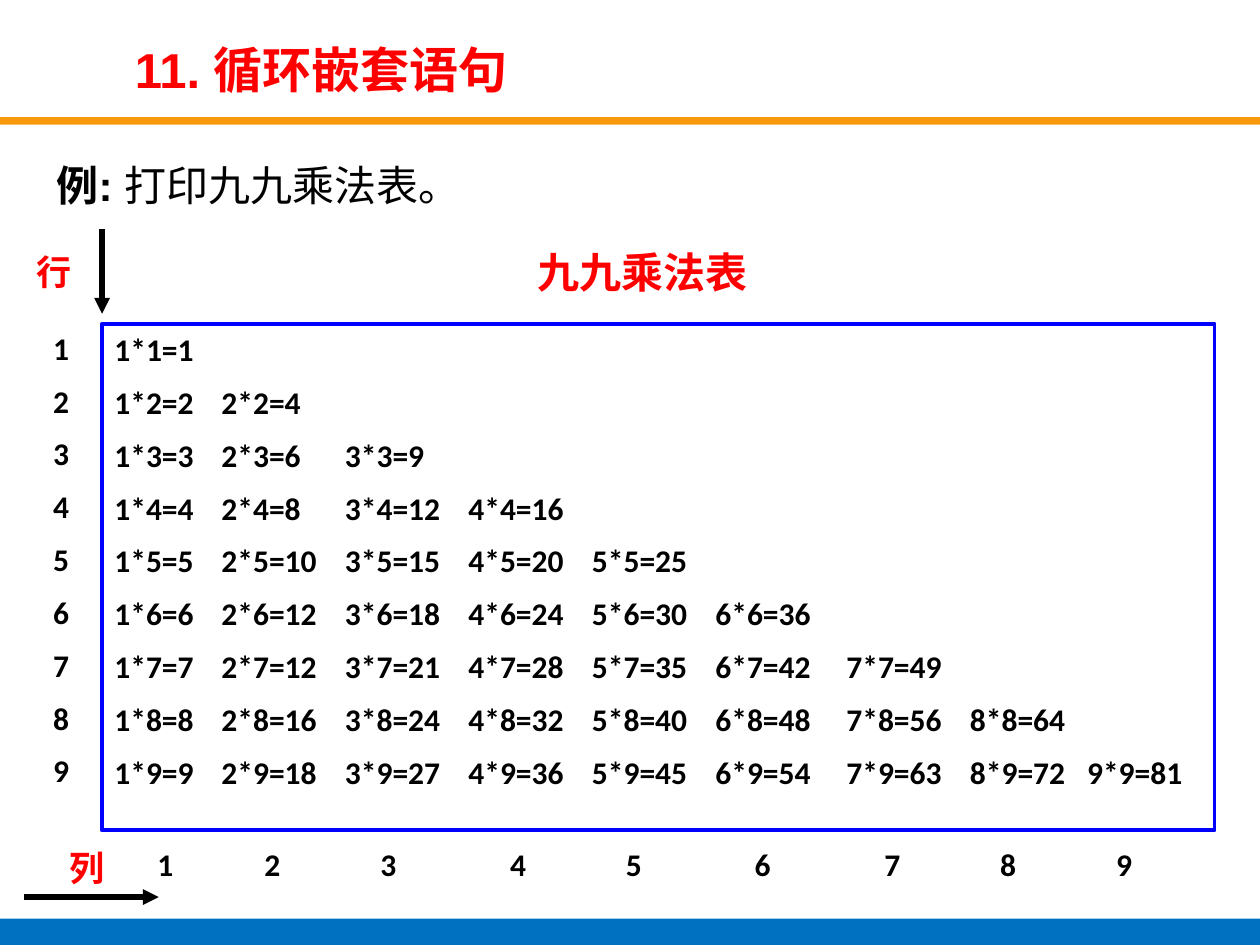
import pptx
import pptx.dml.color
import pptx.enum.shapes
import pptx.enum.text
import pptx.oxml.ns
import pptx.util
from dataclasses import dataclass
from lxml import etree

Inches = pptx.util.Inches
Pt = pptx.util.Pt
Align = pptx.enum.text.PP_ALIGN
Shape = pptx.enum.shapes.MSO_SHAPE
qn = pptx.oxml.ns.qn


@dataclass(frozen=True)
class Theme:
    red: str = "FF0000"
    black: str = "000000"
    orange: str = "F7990A"
    footer_blue: str = "0070C0"
    frame_blue: str = "0000FF"
    heading_font: str = "Arial"
    grid_font: str = "Calibri"
    chinese_font: str = "Noto Sans CJK SC"
    title_size: int = 28
    lead_size: int = 24
    axis_size: int = 20
    grid_size: int = 18
    row_gap: float = 8.6


theme = Theme()


def rgb(value):
    return pptx.dml.color.RGBColor.from_string(value)


def write(shape, lines, font=theme.grid_font, size=theme.grid_size,
          color=theme.black, align=Align.LEFT, gap=0, line_spacing=None,
          tabs=(), anchor=pptx.enum.text.MSO_ANCHOR.TOP):
    """Fill a shape with lines, each a list of (text, bold) runs."""
    frame = shape.text_frame
    frame.word_wrap = True
    frame.auto_size = pptx.enum.text.MSO_AUTO_SIZE.NONE
    frame.vertical_anchor = anchor
    for index, runs in enumerate(lines):
        paragraph = frame.add_paragraph() if index else frame.paragraphs[0]
        paragraph.alignment = align
        paragraph.space_before = Pt(gap)
        if line_spacing:
            paragraph.line_spacing = line_spacing
        if tabs:
            stops = etree.SubElement(paragraph._p.get_or_add_pPr(), qn("a:tabLst"))
            for stop in tabs:
                etree.SubElement(stops, qn("a:tab"), pos=str(Inches(stop)), algn="l")
        for text, bold in runs:
            run = paragraph.add_run()
            run.text = text
            run.font.name = font
            run.font.size = Pt(size)
            run.font.bold = bold
            run.font.color.rgb = rgb(color)
            etree.SubElement(run._r.get_or_add_rPr(), qn("a:ea"),
                             typeface=theme.chinese_font)


presentation = pptx.Presentation()
presentation.slide_width = Inches(10)
presentation.slide_height = Inches(7.5)
slide = presentation.slides.add_slide(presentation.slide_layouts[5])
shapes = slide.shapes

# Header rule and footer band
for top, height, color in ((0.93, 0.06, theme.orange), (7.29, 0.21, theme.footer_blue)):
    band = shapes.add_shape(Shape.RECTANGLE, 0, Inches(top), Inches(10), Inches(height))
    band.shadow.inherit = False
    band.fill.solid()
    band.fill.fore_color.rgb = rgb(color)
    band.line.fill.background()

title = shapes.title
title.left, title.top = Inches(0.97), Inches(0.27)
title.width, title.height = Inches(6.86), Inches(0.55)
write(title, [[("11. 循环嵌套语句", True)]], font=theme.heading_font,
      size=theme.title_size, color=theme.red,
      anchor=pptx.enum.text.MSO_ANCHOR.MIDDLE)

example = shapes.add_textbox(Inches(0.35), Inches(1.14), Inches(9.29), Inches(0.7))
write(example, [[("例: ", True), ("打印九九乘法表。", False)]],
      font=theme.heading_font, size=theme.lead_size, line_spacing=1.2)

# Multiplication table; the slide shows 2*7 as 12
numbers = range(1, 10)
shown_products = {(2, 7): 12}
product_rows = []
for row in numbers:
    products = [f"{column}*{row}={shown_products.get((column, row), column * row)}"
                for column in range(1, row + 1)]
    product_rows.append([("\t".join(products), True)])

table_frame = shapes.add_shape(Shape.RECTANGLE, Inches(0.81), Inches(2.57),
                               Inches(8.83), Inches(4.02))
table_frame.shadow.inherit = False
table_frame.fill.background()
table_frame.line.color.rgb = rgb(theme.frame_blue)
table_frame.line.width = Pt(2.25)
write(table_frame, product_rows, gap=theme.row_gap,
      tabs=(0.85, 1.83, 2.81, 3.79, 4.77, 5.81, 6.79, 7.72))

row_numbers = shapes.add_textbox(Inches(0.15), Inches(2.56), Inches(0.67), Inches(4.04))
write(row_numbers, [[(str(row), True)] for row in numbers],
      align=Align.CENTER, gap=theme.row_gap)

column_numbers = shapes.add_textbox(Inches(1.15), Inches(6.66), Inches(8.5), Inches(0.4))
write(column_numbers, [[("\t".join(map(str, numbers)), True)]],
      tabs=(0.85, 1.77, 2.8, 3.72, 4.74, 5.77, 6.69, 7.61))

table_heading = shapes.add_textbox(Inches(4.17), Inches(1.91), Inches(3.59), Inches(0.5))
write(table_heading, [[("九九乘法表", True)]], font=theme.heading_font,
      size=theme.lead_size, color=theme.red)

# Axis names and arrows
for name, left, top, width, align in (("列", 0.13, 6.67, 1.13, Align.CENTER),
                                      ("行", 0.19, 1.94, 0.75, Align.LEFT)):
    axis_name = shapes.add_textbox(Inches(left), Inches(top), Inches(width), Inches(0.44))
    write(axis_name, [[(name, True)]], font=theme.chinese_font,
          size=theme.axis_size, color=theme.red, align=align)

for ends in ((0.19, 7.12, 1.26, 7.12), (0.81, 1.82, 0.81, 2.49)):
    arrow = shapes.add_connector(pptx.enum.shapes.MSO_CONNECTOR.STRAIGHT,
                                 *map(Inches, ends))
    arrow.line.color.rgb = rgb(theme.black)
    arrow.line.width = Pt(3)
    etree.SubElement(arrow.line._get_or_add_ln(), qn("a:tailEnd"), type="triangle")
    etree.SubElement(arrow._element.spPr, qn("a:effectLst"))

presentation.save("out.pptx")
